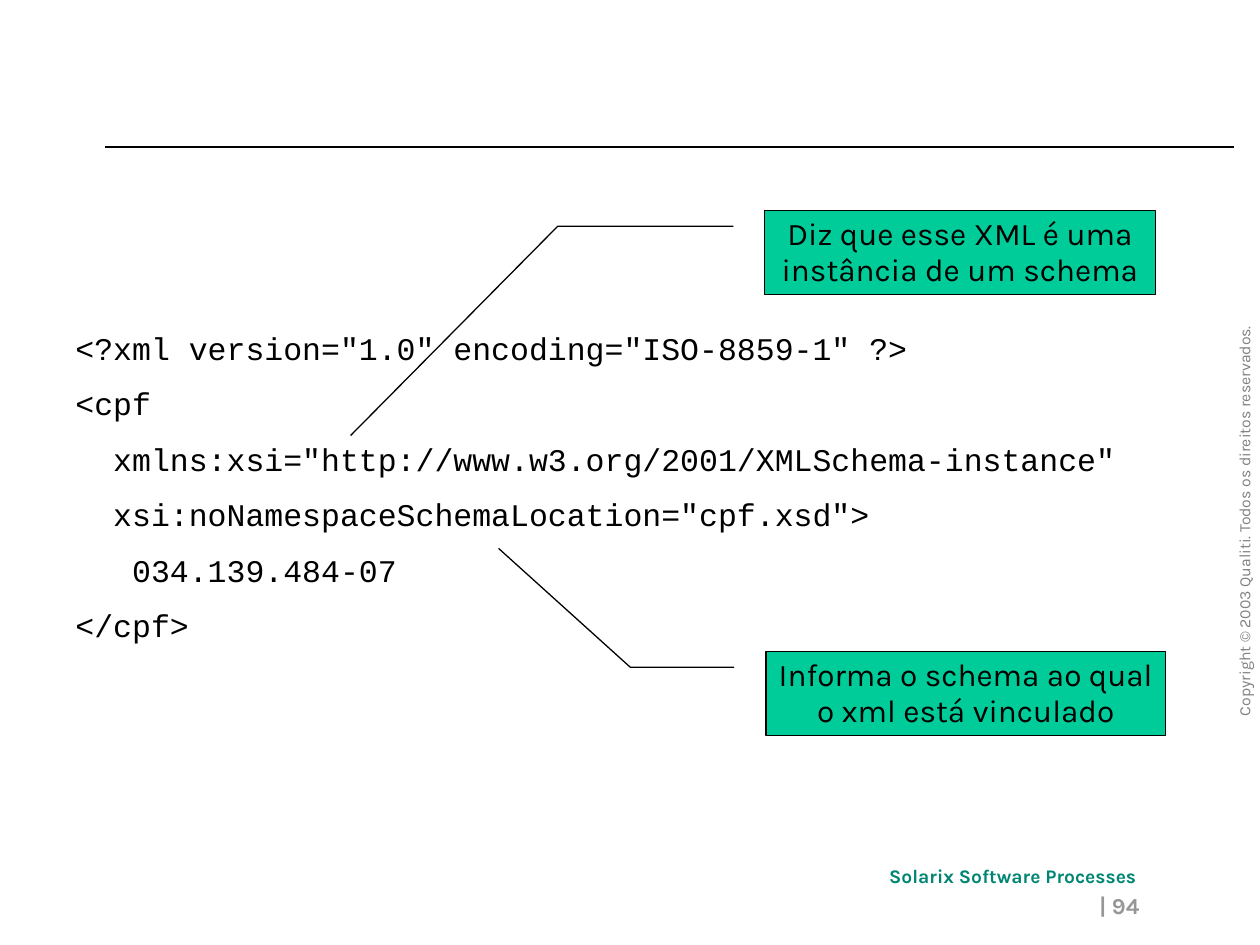
from dataclasses import dataclass, field

import pptx
import pptx.dml.color
import pptx.enum.shapes
import pptx.enum.text
import pptx.oxml.ns
import pptx.util
from lxml import etree

Pt = pptx.util.Pt
Align = pptx.enum.text.PP_ALIGN
Shape = pptx.enum.shapes.MSO_SHAPE
Link = pptx.enum.shapes.MSO_CONNECTOR

CODE = """\
<?xml version="1.0" encoding="ISO-8859-1" ?>
<cpf
  xmlns:xsi="http://www.w3.org/2001/XMLSchema-instance"
  xsi:noNamespaceSchemaLocation="cpf.xsd">
   034.139.484-07
</cpf>"""


@dataclass
class Note:
    text: str
    box: tuple[float, float, float, float]
    font: dict
    wrap: bool = True
    turn: float = 0
    para: dict = field(default_factory=dict)
    gap: float = 0


@dataclass
class Callout:
    text: str
    box: tuple[float, float, float, float]
    bend: float
    tip: tuple[float, float]


def paint(color, code: str) -> None:
    color.rgb = pptx.dml.color.RGBColor.from_string(code)


def style(item, values: dict) -> None:
    """Set each format value; a hex string under 'color' becomes the colour."""
    for key, value in values.items():
        if key == "color":
            paint(item.color, value)
        else:
            setattr(item, key, value)


def write(frame, text: str, font: dict, para: dict, gap: float = 0) -> None:
    """Fill a frame, one paragraph a line, with a gap between paragraphs."""
    for num, line in enumerate(text.split("\n")):
        part = frame.add_paragraph() if num else frame.paragraphs[0]
        run = part.add_run()
        run.text = line
        style(run.font, font)
        style(part, para)
        if num and gap:
            part.space_before = Pt(gap)


def add_note(slide, note: Note) -> None:
    box = slide.shapes.add_textbox(*map(Pt, note.box))
    box.rotation = note.turn
    box.text_frame.word_wrap = note.wrap
    write(box.text_frame, note.text, note.font, note.para, note.gap)


def add_callout(slide, call: Callout) -> None:
    shape = slide.shapes.add_shape(Shape.LINE_CALLOUT_2, *map(Pt, call.box))
    shape.shadow.inherit = False
    points = (0.19, -0.08, 0.19, call.bend, *call.tip)
    for num, value in enumerate(points):
        shape.adjustments[num] = value
    shape.fill.solid()
    paint(shape.fill.fore_color, "00CC99")
    style(shape.line, {"color": "000000", "width": Pt(0.75)})
    frame = shape.text_frame
    style(frame, {"word_wrap": True,
                  "vertical_anchor": pptx.enum.text.MSO_ANCHOR.TOP})
    write(frame, call.text, face("Karla", 18, "000000"),
          {"alignment": Align.CENTER, "line_spacing": 0.95})


def add_rule(slide, left: float, right: float, top: float) -> None:
    rule = slide.shapes.add_connector(
        Link.STRAIGHT, Pt(right), Pt(top), Pt(left), Pt(top))
    style(rule.line, {"color": "000000", "width": Pt(0.75)})
    props = rule._element.spPr
    etree.SubElement(props, pptx.oxml.ns.qn("a:effectLst"))


def face(name: str, size: float, color: str, bold: bool = False) -> dict:
    return {"name": name, "size": Pt(size), "color": color, "bold": bold}


NOTES = [
    Note("Copyright © 2003 Qualiti. Todos os direitos reservados.",
         (587.5, 283.7, 247, 18), face("Karla", 9, "808080"),
         wrap=False, turn=270),
    Note("Solarix Software Processes", (501, 490.3, 161.3, 21),
         face("Karla", 11, "008673", True), wrap=False),
    Note("| 94", (310.3, 506.2, 347.8, 23.8),
         face("Karla", 13, "969696", True), para={"alignment": Align.RIGHT}),
    Note(CODE, (36, 185.8, 660, 186.5), face("Courier New", 18, "000000"),
         para={"line_spacing": 0.95}, gap=11.2),
]

CALLS = [
    Callout("Diz que esse XML é uma instância de um schema",
            (437, 120.2, 223.2, 48.2), -0.53, (2.67, -1.06)),
    Callout("Informa o schema ao qual o xml está vinculado",
            (437.8, 372.2, 228.2, 48.2), -0.34, (-1.22, -0.67)),
]


def main() -> None:
    deck = pptx.Presentation()
    style(deck, {"slide_width": Pt(720), "slide_height": Pt(540)})
    slide = deck.slides.add_slide(deck.slide_layouts[6])
    add_rule(slide, 60, 705, 84)
    for note in NOTES:
        add_note(slide, note)
    for call in CALLS:
        add_callout(slide, call)
    deck.save("out.pptx")


if __name__ == "__main__":
    main()
